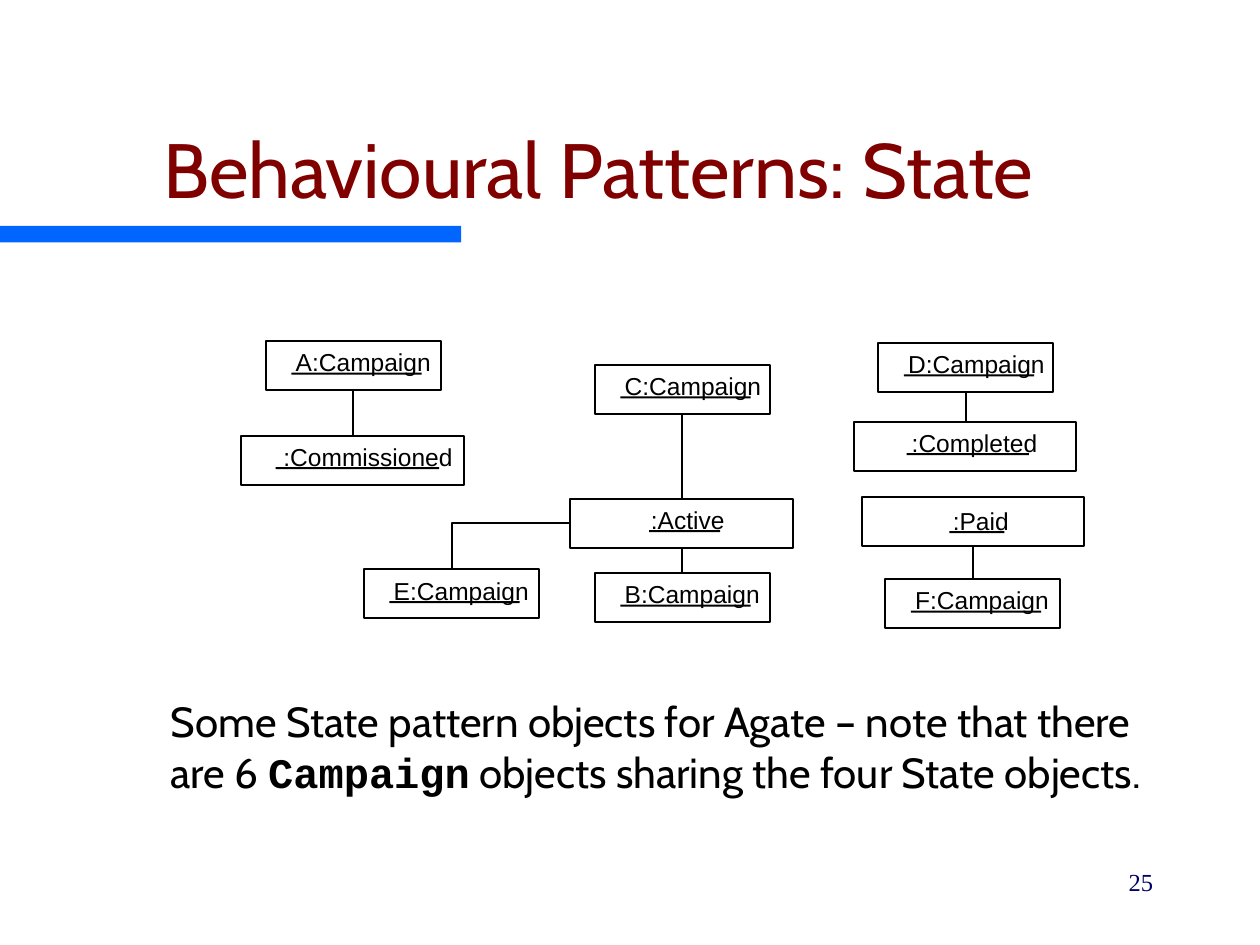
from collections import namedtuple
from dataclasses import dataclass

from lxml import etree
from pptx import Presentation
from pptx.dml.color import RGBColor
from pptx.enum import shapes, text
from pptx.oxml import ns
from pptx.util import Pt


@dataclass(frozen=True)
class Theme:
    ink: RGBColor = RGBColor(0, 0, 0)
    paper: RGBColor = RGBColor(255, 255, 255)
    heading: RGBColor = RGBColor(0x80, 0, 0)
    accent: RGBColor = RGBColor(0, 0x66, 0xFF)
    page: RGBColor = RGBColor(0, 0, 0x66)
    heading_size: int = 44
    body_size: int = 24
    small_size: int = 14
    stroke: float = 1.13
    main_font: str = "Cabin"
    label_font: str = "Arial"
    code_font: str = "Courier New"
    page_font: str = "Times New Roman"


THEME = Theme()
Box = namedtuple("Box", "left top width height")
Instance = namedtuple(
    "Instance", "left top width label indent rule_indent rule_width drop", defaults=[0]
)
CAMPAIGN_WIDTH, STATE_WIDTH, INSTANCE_HEIGHT = 100, 127, 28


def campaign(letter, left, top, drop=0):
    return Instance(left, top, CAMPAIGN_WIDTH, f"{letter}:Campaign", 17, 14.5, 74.5, drop)


def state(label, left, top, indent, rule_indent, rule_width, drop=0):
    return Instance(left, top, STATE_WIDTH, label, indent, rule_indent, rule_width, drop)


INSTANCES = {
    "A": campaign("A", 14, 0),
    "B": campaign("B", 202, 132.5),
    "C": campaign("C", 202, 13.5),
    "D": campaign("D", 364, 1),
    "E": campaign("E", 70, 130, 0.5),
    "F": campaign("F", 368, 136),
    "Commissioned": state(":Commissioned", 0, 54, 24, 19.5, 93.5),
    "Active": state(":Active", 188, 90, 46, 45, 40.5),
    "Completed": state(":Completed", 350, 46, 33, 30, 70),
    "Paid": state(":Paid", 354.5, 89, 52, 50, 31.5, 1.5),
}
LINKS = [("A", "Commissioned"), ("C", "Active"), ("Active", "B"),
         ("D", "Completed"), ("Paid", "F")]


def style_run(run, font, size, color, bold=False):
    run.font.name = font
    run.font.size = Pt(size)
    run.font.color.rgb = color
    run.font.bold = bold


def add_rect(slide, box, fill, outlined=False):
    rect = slide.shapes.add_shape(shapes.MSO_SHAPE.RECTANGLE, *map(Pt, box))
    rect.shadow.inherit = False
    rect.fill.solid()
    rect.fill.fore_color.rgb = fill
    if outlined:
        style_line(rect.line)
    else:
        rect.line.fill.background()


def style_line(line):
    line.color.rgb = THEME.ink
    line.width = Pt(THEME.stroke)


def add_text(slide, box, margins=(7.2, 3.6)):
    frame = slide.shapes.add_textbox(*map(Pt, box)).text_frame
    frame.word_wrap = True
    frame.margin_left = frame.margin_right = Pt(margins[0])
    frame.margin_top = frame.margin_bottom = Pt(margins[1])
    return frame


def add_heading(slide, box):
    title = slide.shapes.title
    title.left, title.top, title.width, title.height = map(Pt, box)
    frame = title.text_frame
    frame.text = "Behavioural Patterns: State"
    frame.vertical_anchor = text.MSO_ANCHOR.BOTTOM
    frame.paragraphs[0].alignment = text.PP_ALIGN.CENTER
    style_run(frame.paragraphs[0].runs[0], THEME.main_font, THEME.heading_size, THEME.heading)


def add_instance(slide, origin, item):
    left, top = origin.left + item.left, origin.top + item.top
    add_rect(slide, Box(left, top, item.width, INSTANCE_HEIGHT), THEME.paper, outlined=True)
    label_box = Box(left + item.indent, top + 3.5 + item.drop, item.width - item.indent, 16.5)
    frame = add_text(slide, label_box, margins=(0, 0))
    frame.text = item.label
    style_run(frame.paragraphs[0].runs[0], THEME.label_font, THEME.small_size, THEME.ink)
    rule = Box(left + item.rule_indent, top + 18 + item.drop, item.rule_width, 1.2)
    add_rect(slide, rule, THEME.ink)


def add_link(slide, origin, upper, lower):
    x = origin.left + (upper.left + lower.left + (upper.width + lower.width) / 2) / 2
    start = origin.top + upper.top + INSTANCE_HEIGHT
    end = origin.top + lower.top
    link = slide.shapes.add_connector(
        shapes.MSO_CONNECTOR.STRAIGHT, Pt(x), Pt(start), Pt(x), Pt(end)
    )
    style_line(link.line)
    etree.SubElement(link._element.spPr, ns.qn("a:effectLst"))


def add_corner_link(slide, origin, lower, upper):
    x = origin.left + lower.left + lower.width / 2
    y = origin.top + upper.top + INSTANCE_HEIGHT / 2
    builder = slide.shapes.build_freeform(Pt(x), Pt(origin.top + lower.top))
    builder.add_line_segments([(Pt(x), Pt(y)), (Pt(origin.left + upper.left), Pt(y))], close=False)
    corner = builder.convert_to_shape()
    corner.shadow.inherit = False
    corner.fill.background()
    style_line(corner.line)


def add_object_diagram(slide, box):
    for item in INSTANCES.values():
        add_instance(slide, box, item)
    for upper, lower in LINKS:
        add_link(slide, box, INSTANCES[upper], INSTANCES[lower])
    add_corner_link(slide, box, INSTANCES["E"], INSTANCES["Active"])


def add_caption(slide, box):
    paragraph = add_text(slide, box).paragraphs[0]
    parts = [
        ("Some State pattern objects for Agate – note that there are 6 ", False),
        ("Campaign", True),
        (" objects sharing the four State objects.", False),
    ]
    for words, is_code in parts:
        run = paragraph.add_run()
        run.text = words
        font = THEME.code_font if is_code else THEME.main_font
        style_run(run, font, THEME.body_size, THEME.ink, bold=is_code)


def add_page_number(slide, box):
    frame = add_text(slide, box)
    frame.text = "25"
    frame.paragraphs[0].alignment = text.PP_ALIGN.RIGHT
    style_run(frame.paragraphs[0].runs[0], THEME.page_font, THEME.small_size, THEME.page)


def main():
    deck = Presentation()
    deck.slide_width, deck.slide_height = Pt(720), Pt(540)
    slide = deck.slides.add_slide(deck.slide_layouts[5])
    add_rect(slide, Box(0, 129, 263.5, 9.5), THEME.accent)
    add_heading(slide, Box(18, 36, 648, 90))
    add_object_diagram(slide, Box(138, 195, 482, 164))
    add_caption(slide, Box(90.5, 394, 569, 93.5))
    add_page_number(slide, Box(516, 492, 150, 36))
    deck.save("out.pptx")


if __name__ == "__main__":
    main()
